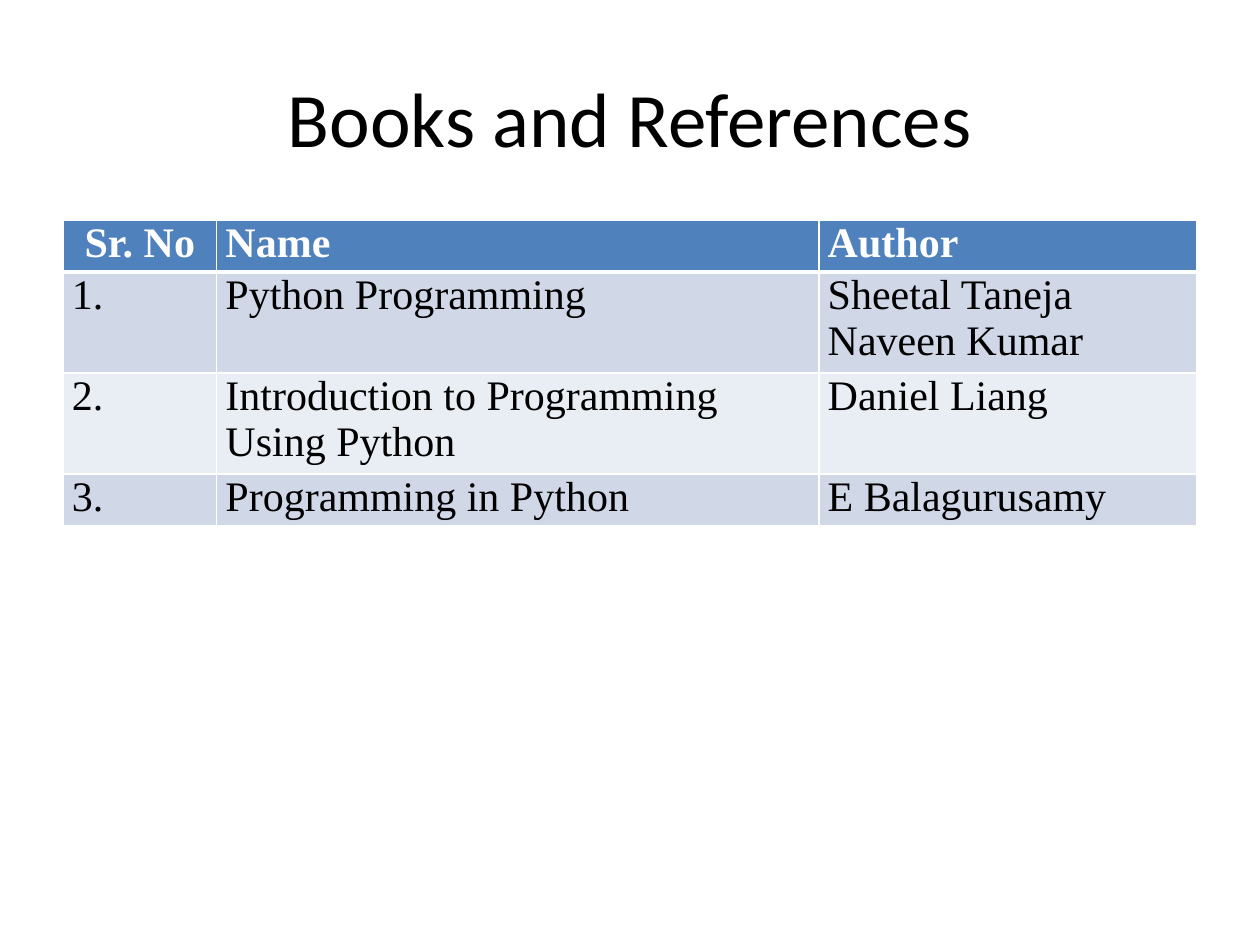
from dataclasses import dataclass

from lxml import etree
from pptx import Presentation
from pptx.dml.color import RGBColor
from pptx.enum import text
from pptx.oxml import ns
from pptx.util import Inches, Pt

BLACK = RGBColor(0, 0, 0)
WHITE = RGBColor(0xFF, 0xFF, 0xFF)
BLUE = RGBColor(0x4F, 0x81, 0xBD)
BANDS = (RGBColor(0xD0, 0xD8, 0xE8), RGBColor(0xE9, 0xED, 0xF4))
COL_WIDTHS = (1.22, 4.78, 3)
ROW_HEIGHT = 0.41


@dataclass(frozen=True)
class Book:
    number: str
    name: str
    authors: tuple[str, ...]


BOOKS = (
    Book("1.", "Python Programming", ("Sheetal Taneja", "Naveen Kumar")),
    Book("2.", "Introduction to Programming Using Python", ("Daniel Liang",)),
    Book("3.", "Programming in Python", ("E Balagurusamy",)),
)


def add_lines(tf, lines, font: str, size: float, color: RGBColor,
              bold: bool = False, align=text.PP_ALIGN.LEFT) -> None:
    for i, line in enumerate(lines):
        p = tf.paragraphs[0] if i == 0 else tf.add_paragraph()
        p.alignment = align
        r = p.add_run()
        r.text = line
        r.font.name = font
        r.font.size = Pt(size)
        r.font.bold = bold
        r.font.color.rgb = color


def set_borders(cell, top: float, bottom: float) -> None:
    tc_pr = cell._tc.get_or_add_tcPr()
    for side, width in (("L", 1), ("R", 1), ("T", top), ("B", bottom)):
        ln = etree.SubElement(tc_pr, ns.qn(f"a:ln{side}"), w=str(Pt(width)))
        fill = etree.SubElement(ln, ns.qn("a:solidFill"))
        etree.SubElement(fill, ns.qn("a:srgbClr"), val=str(WHITE))


def fill_cell(cell, lines, row: int, align) -> None:
    header = row == 0
    cell.margin_left = cell.margin_right = Inches(0.07)
    cell.margin_top = cell.margin_bottom = 0
    set_borders(cell, 3 if row == 1 else 1, 3 if header else 1)
    cell.fill.solid()
    cell.fill.fore_color.rgb = BLUE if header else BANDS[(row - 1) % 2]
    add_lines(cell.text_frame, lines, "Times New Roman", 24,
              WHITE if header else BLACK, header, align)


def add_title(s, title: str) -> None:
    sp = s.shapes.add_textbox(Inches(0.5), Inches(0.3), Inches(9), Inches(1.25))
    tf = sp.text_frame
    tf.word_wrap = True
    tf.vertical_anchor = text.MSO_ANCHOR.MIDDLE
    add_lines(tf, (title,), "Calibri", 44, BLACK, align=text.PP_ALIGN.CENTER)


def add_book_table(s, books: tuple[Book, ...]) -> None:
    rows = [(("Sr. No",), ("Name",), ("Author",))]
    rows += [((b.number,), (b.name,), b.authors) for b in books]
    table = s.shapes.add_table(
        len(rows), len(COL_WIDTHS), Inches(0.5), Inches(1.75),
        Inches(sum(COL_WIDTHS)), Inches(ROW_HEIGHT * len(rows))).table
    for column, width in zip(table.columns, COL_WIDTHS):
        column.width = Inches(width)
    for i, row in enumerate(rows):
        table.rows[i].height = Inches(ROW_HEIGHT)
        for j, lines in enumerate(row):
            align = text.PP_ALIGN.CENTER if i == j == 0 else text.PP_ALIGN.LEFT
            fill_cell(table.cell(i, j), lines, i, align)


prs = Presentation()
prs.slide_width = Inches(10)
prs.slide_height = Inches(7.5)
s = prs.slides.add_slide(prs.slide_layouts[6])
add_title(s, "Books and References")
add_book_table(s, BOOKS)
prs.save("out.pptx")
